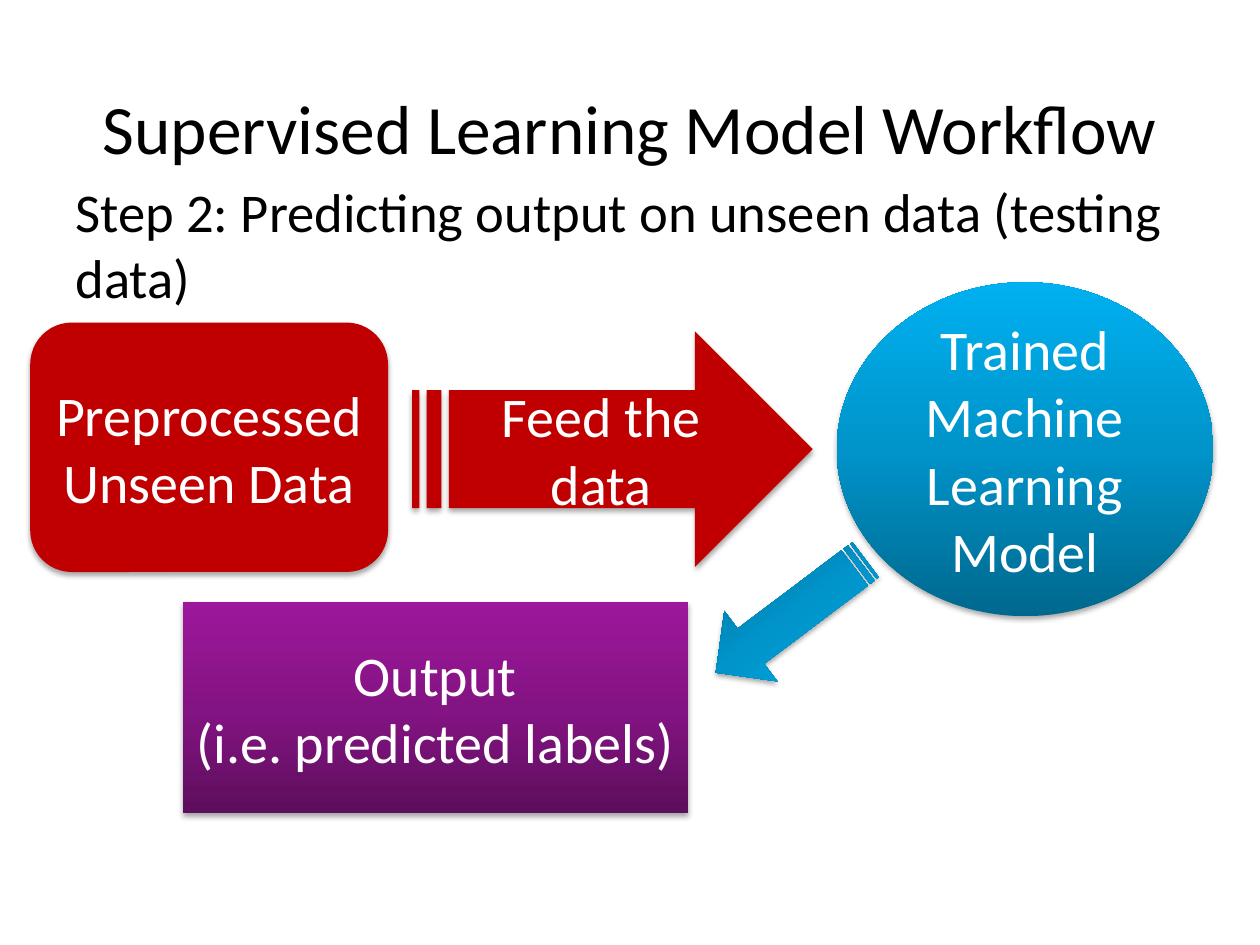
import pptx
import pptx.util
from lxml import etree
from pptx.dml.color import RGBColor
from pptx.enum.shapes import MSO_SHAPE
from pptx.enum.text import MSO_ANCHOR, PP_ALIGN
from pptx.oxml.ns import qn

Inches = pptx.util.Inches
Pt = pptx.util.Pt

FONT = "Calibri"
BLACK = RGBColor(0x00, 0x00, 0x00)
WHITE = RGBColor(0xFF, 0xFF, 0xFF)
RED = RGBColor(0xC0, 0x00, 0x00)
# Gradients run from the bottom colour to the top colour.
BLUES = (RGBColor(0x00, 0x68, 0x8E), RGBColor(0x00, 0x94, 0xCA), RGBColor(0x00, 0xB0, 0xF0))
PURPLES = (RGBColor(0x5D, 0x0E, 0x5C), RGBColor(0x84, 0x14, 0x83), RGBColor(0x9D, 0x17, 0x9C))


def write(tf, lines, size, color, align):
    tf.word_wrap = True
    tf.vertical_anchor = MSO_ANCHOR.MIDDLE
    for i, line in enumerate(lines):
        p = tf.add_paragraph() if i else tf.paragraphs[0]
        p.alignment = align
        r = p.add_run()
        r.text = line
        r.font.name = FONT
        r.font.size = Pt(size)
        r.font.color.rgb = color


def add_color(parent, color):
    return etree.SubElement(parent, qn("a:srgbClr"), val=str(color))


def fill_gradient(s, colors):
    """Spread the colours evenly from the bottom of the shape to its top."""
    s.fill.gradient()
    grad = s._element.spPr.find(qn("a:gradFill"))
    for child in list(grad):
        grad.remove(child)
    stops = etree.SubElement(grad, qn("a:gsLst"))
    for i, color in enumerate(colors):
        pos = 100000 * i // (len(colors) - 1)
        add_color(etree.SubElement(stops, qn("a:gs"), pos=str(pos)), color)
    etree.SubElement(grad, qn("a:lin"), ang="16200000", scaled="0")


def add_shadow(s):
    s.shadow.inherit = False
    effects = s._element.spPr.find(qn("a:effectLst"))
    shadow = etree.SubElement(
        effects, qn("a:outerShdw"), blurRad=str(Pt(3.1)), dist=str(Pt(1.8)),
        dir="5400000", rotWithShape="0")
    etree.SubElement(add_color(shadow, BLACK), qn("a:alpha"), val="35000")


def add_block(slide, kind, box, fill, lines=(), rotation=0):
    s = slide.shapes.add_shape(kind, *map(Inches, box))
    s.rotation = rotation
    if isinstance(fill, RGBColor):
        s.fill.solid()
        s.fill.fore_color.rgb = fill
    else:
        fill_gradient(s, fill)
    s.line.fill.background()
    add_shadow(s)
    write(s.text_frame, lines, 32, WHITE, PP_ALIGN.CENTER)


def add_title(slide, box):
    title = slide.shapes.title
    title.left, title.top, title.width, title.height = map(Inches, box)
    write(title.text_frame, ["Supervised Learning Model Workflow"], 39.6, BLACK, PP_ALIGN.CENTER)


def add_step(slide, box):
    s = slide.shapes.add_textbox(*map(Inches, box))
    write(s.text_frame, ["Step 2: Predicting output on unseen data (testing data)"],
          31.2, BLACK, PP_ALIGN.LEFT)


def add_workflow(slide, box):
    """Place the three stages and the arrows between them."""
    x, y, _, _ = box
    arrow = MSO_SHAPE.STRIPED_RIGHT_ARROW
    blocks = [
        (MSO_SHAPE.ROUNDED_RECTANGLE, (0, 0.32, 2.84, 1.98), RED, ["Preprocessed Unseen Data"], 0),
        (MSO_SHAPE.OVAL, (6.4, 0, 2.99, 2.65), BLUES, ["Trained Machine Learning Model"], 0),
        (arrow, (3.03, 0.39, 3.18, 1.87), RED, ["Feed the data"], 0),
        (arrow, (5.29, 2.3, 1.49, 0.7), BLUES, [], 143),
        (MSO_SHAPE.RECTANGLE, (1.21, 2.54, 4.01, 1.67), PURPLES,
         ["Output", "(i.e. predicted labels)"], 0),
    ]
    for kind, (dx, dy, w, h), fill, lines, rotation in blocks:
        add_block(slide, kind, (x + dx, y + dy, w, h), fill, lines, rotation)


def main():
    prs = pptx.Presentation()
    prs.slide_width, prs.slide_height = Inches(10), Inches(7.5)
    slide = prs.slides.add_slide(prs.slide_layouts.get_by_name("Title Only"))
    add_title(slide, (0.5, 0.38, 9, 1.25))
    add_step(slide, (0.5, 1.31, 9.49, 1.25))
    add_workflow(slide, (0.24, 2.24, 9.39, 4.21))
    prs.save("out.pptx")


if __name__ == "__main__":
    main()
